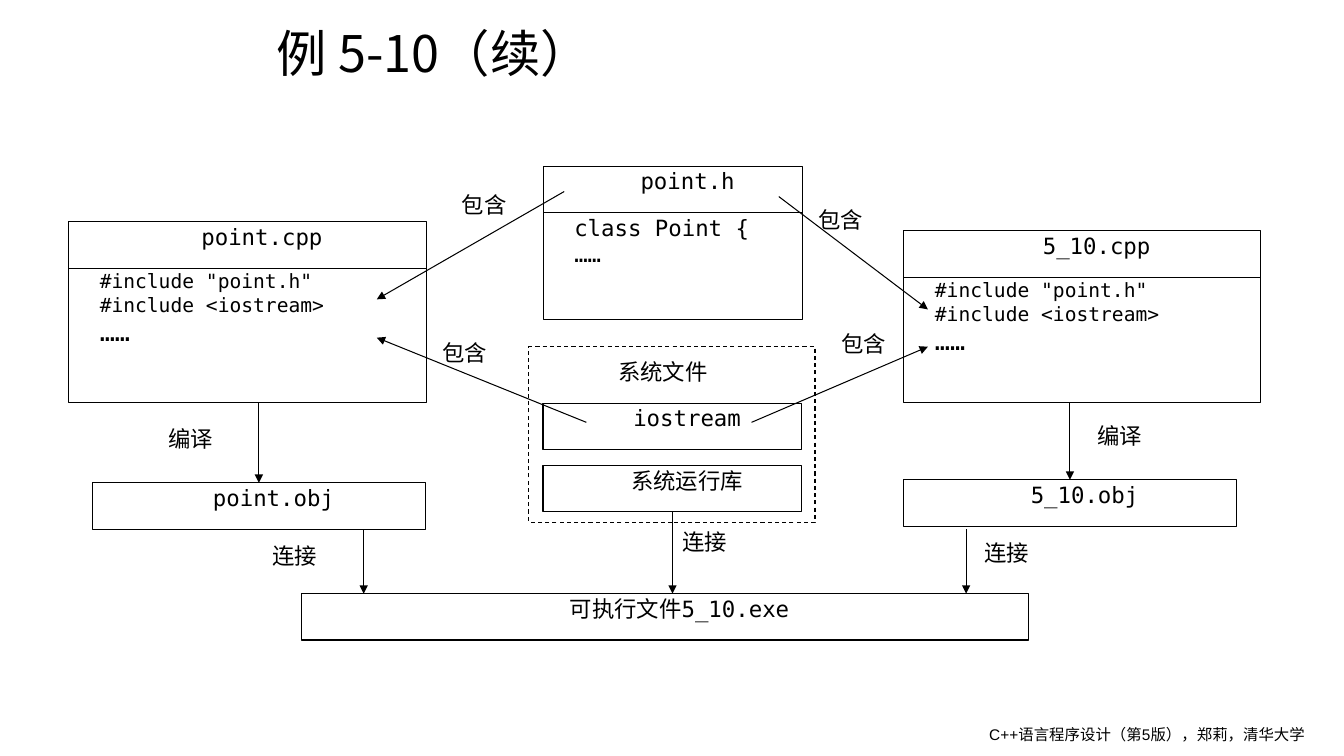
from lxml.etree import SubElement
from pptx import Presentation
from pptx.dml.color import RGBColor
from pptx.enum.dml import MSO_LINE_DASH_STYLE as Dash
from pptx.enum.shapes import MSO_CONNECTOR as Connector, MSO_SHAPE as Shape
from pptx.enum.text import MSO_ANCHOR as Anchor, PP_ALIGN as Align
from pptx.oxml.ns import qn
from pptx.util import Inches, Pt

BLACK = RGBColor(0x00, 0x00, 0x00)
MONO = "DejaVu Sans Mono"
CELL = 0.1
COLUMNS, ROWS = 133.4, 75
TOP, BOTTOM = 0, 2
BAR = 4.6
CODE_LINES = [('#include "point.h"', 14), ("#include <iostream>", 14), ("……", 18)]


def cells(*counts):
    return [Inches(count * CELL) for count in counts]


def apply_format(target, values):
    for name, value in values.items():
        setattr(target, name, value)


def write(box, lines, align=Align.LEFT, indent=2.9, inset=0.1, font=MONO,
          anchor=Anchor.TOP, wrap=True, side=0.2):
    frame = box.text_frame
    apply_format(frame, {
        "word_wrap": wrap, "vertical_anchor": anchor,
        "margin_left": cells(side)[0], "margin_right": cells(side)[0],
        "margin_top": cells(inset)[0], "margin_bottom": cells(inset)[0]})
    for number, (text, size) in enumerate(lines):
        para = frame.add_paragraph() if number else frame.paragraphs[0]
        para.alignment = align
        para._p.get_or_add_pPr().set("indent", str(cells(indent)[0]))
        span = para.add_run()
        span.text = text
        apply_format(span.font, {"name": font, "size": Pt(size)})
        span.font.color.rgb = BLACK
        SubElement(span._r.get_or_add_rPr(), qn("a:ea"), typeface=font)


def add_box(page, place, lines=(), align=Align.LEFT, dash=None):
    box = page.shapes.add_shape(Shape.RECTANGLE, *cells(*place))
    box.shadow.inherit = False
    box.fill.background()
    box.line.color.rgb = BLACK
    apply_format(box.line, {"width": Pt(0.75), "dash_style": dash})
    write(box, lines, align)
    return box


def add_bar(page, left, top, width, text):
    return add_box(page, (left, top, width, BAR), [(text, 16)], Align.CENTER)


def add_file(page, left, top, width, body_height, name, lines):
    add_bar(page, left, top, width, name)
    add_box(page, (left, top + BAR, width, body_height), lines)


def add_label(page, left, top, text, width=12.4):
    box = page.shapes.add_textbox(*cells(left, top, width, 3.9))
    write(box, [(text, 16)], Align.CENTER, inset=0)


def add_caption(page, place, text, size, font, **layout):
    box = page.shapes.add_textbox(*cells(*place))
    write(box, [(text, size)], indent=0, inset=0.5, side=1, font=font, **layout)


def add_arrow(page, start, end):
    arrow = page.shapes.add_connector(Connector.STRAIGHT, *cells(*start, *end))
    arrow.line.color.rgb = BLACK
    arrow.line.width = Pt(0.75)
    SubElement(arrow.line._get_or_add_ln(), qn("a:tailEnd"), type="triangle")
    SubElement(arrow._element.spPr, qn("a:effectLst"))
    return arrow


def main():
    deck = Presentation()
    deck.slide_width, deck.slide_height = cells(COLUMNS, ROWS)
    page = deck.slides.add_slide(deck.slide_layouts[6])

    add_caption(page, (26.5, 0.5, 99.3, 9.4), "例 5-10（续）", 36,
                "Noto Sans CJK SC", anchor=Anchor.MIDDLE)
    add_caption(page, (97.2, 71.4, 34.9, 2.9),
                "C++语言程序设计（第5版），郑莉，清华大学", 11, "Arial", wrap=False)

    add_box(page, (52.5, 34.4, 28.4, 17.4), dash=Dash.DASH)
    add_file(page, 6.8, 22, 35.5, 13.3, "point.cpp", CODE_LINES)
    add_file(page, 89.7, 22.9, 35.4, 12.4, "5_10.cpp", CODE_LINES)
    add_file(page, 53.9, 16.5, 25.8, 10.6, "point.h",
             [("class Point {", 16), ("……", 16)])
    add_bar(page, 53.9, 40, 25.7, "iostream")
    library = add_bar(page, 53.9, 46.2, 25.7, "系统运行库")
    point_object = add_bar(page, 9.2, 47.9, 33, "point.obj")
    main_object = add_bar(page, 89.7, 47.6, 33, "5_10.obj")
    add_bar(page, 29.9, 58.9, 72.2, "可执行文件5_10.exe")

    for start, end in [((77.3, 19.5), (92.1, 30.7)), ((56, 19), (37.4, 29.7)),
                       ((58.2, 41.9), (37.4, 33.5)), ((74.6, 41.9), (92.1, 34.4)),
                       ((36.1, 52.5), (36.1, 58.9)), ((95.9, 52.5), (95.9, 58.9))]:
        add_arrow(page, start, end)
    for middle, target in [(25.7, point_object), (106.2, main_object)]:
        add_arrow(page, (middle, 39.9), (middle, 48)).end_connect(target, TOP)
    add_arrow(page, (66.75, 50.8), (66.75, 58.9)).begin_connect(library, BOTTOM)

    for left, top, text in [(103.5, 41.9, "编译"), (11.3, 42.2, "编译"),
                            (92.3, 53.5, "连接"), (21.6, 53.8, "连接"),
                            (62.3, 52.4, "连接"), (40.4, 19, "包含"),
                            (75.8, 20.4, "包含"), (78.1, 32.8, "包含"),
                            (38.5, 33.6, "包含")]:
        add_label(page, left, top, text)
    add_label(page, 51.1, 35.5, "系统文件", 26.5)

    deck.save("out.pptx")


if __name__ == "__main__":
    main()
